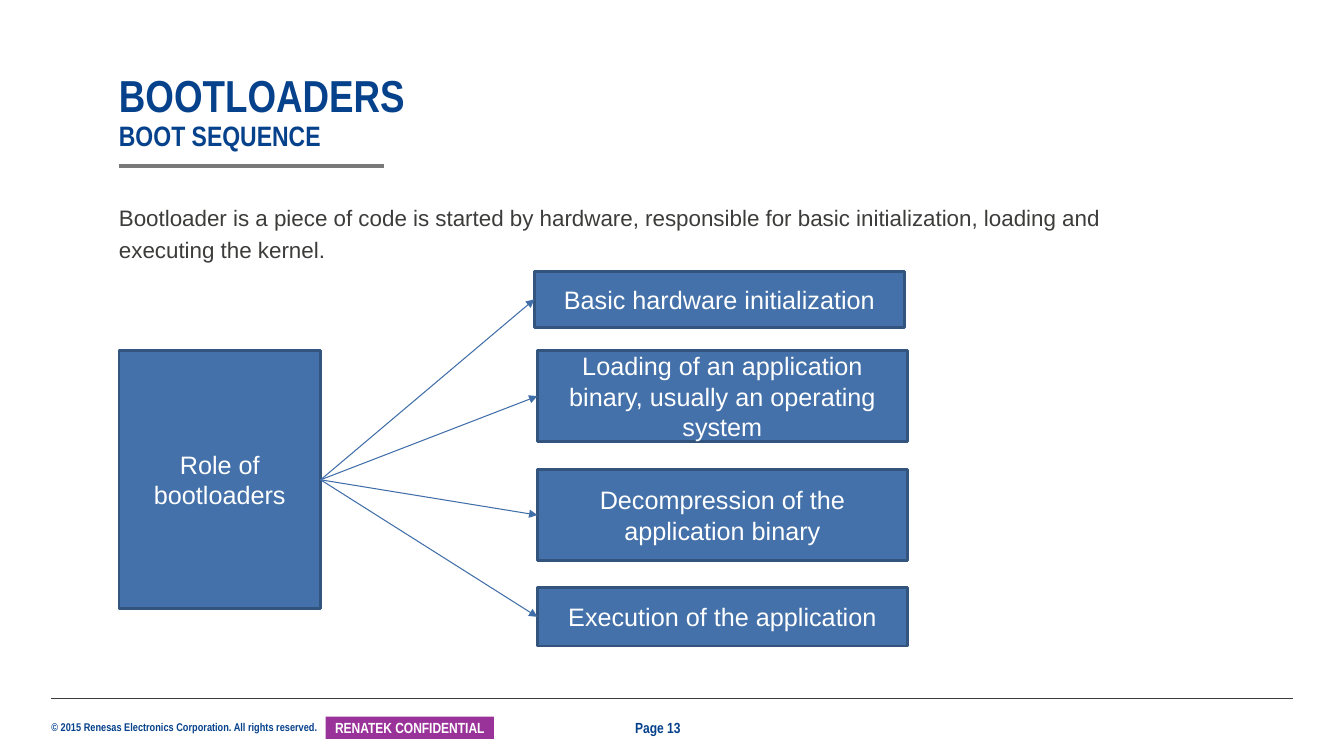
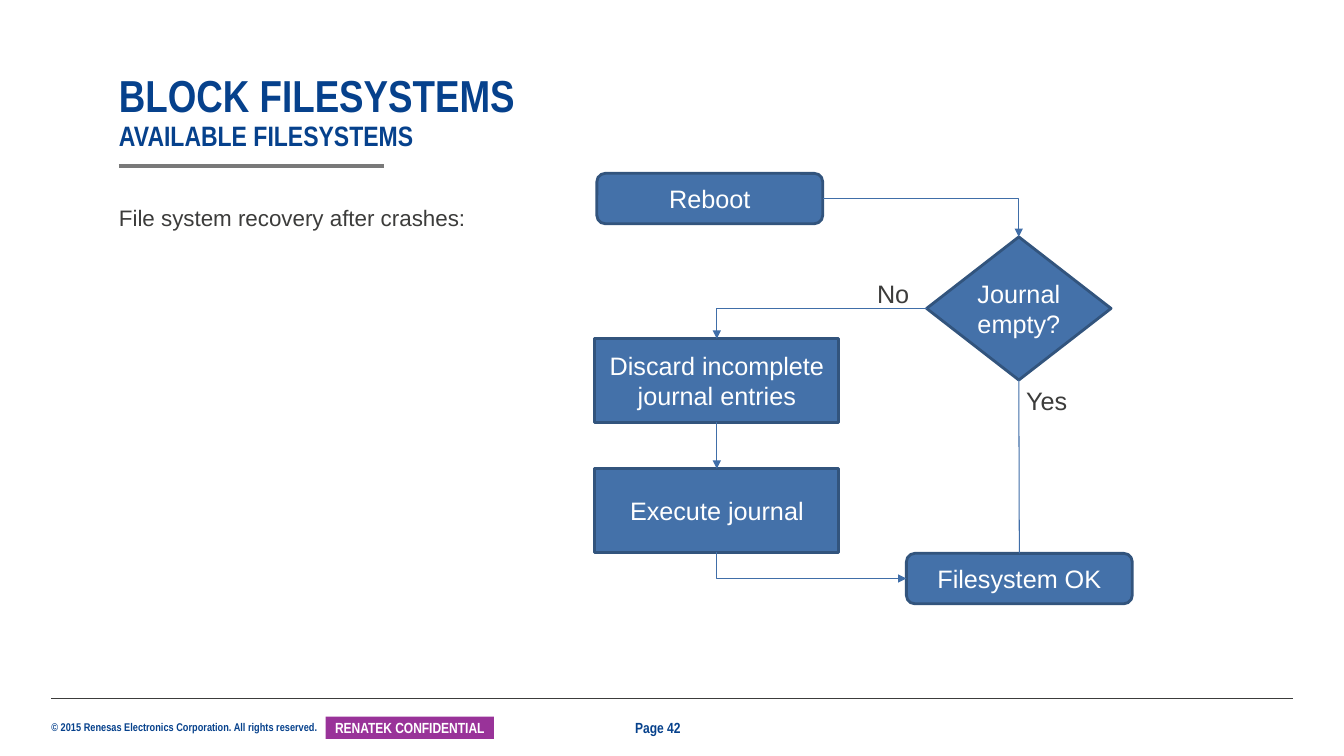
from lxml import etree
from pptx import Presentation
from pptx.dml.color import RGBColor
from pptx.enum.shapes import MSO_CONNECTOR as Link, MSO_SHAPE as Shape
from pptx.enum.text import MSO_ANCHOR as Anchor, PP_ALIGN as Align
from pptx.oxml.ns import qn
from pptx.util import Pt

PX = 9144  # EMU per px, 100 px to the inch

NAVY = RGBColor(0x06, 0x41, 0x8C)
INK = RGBColor(0x3C, 0x3C, 0x3B)
GRAY = RGBColor(0x79, 0x79, 0x79)
PURPLE = RGBColor(0x99, 0x33, 0x99)
BLUE = RGBColor(0x44, 0x71, 0xA9)
EDGE = RGBColor(0x32, 0x54, 0x7D)
ARROW = RGBColor(0x40, 0x6E, 0xA8)
WHITE = RGBColor(0xFF, 0xFF, 0xFF)

BODY_FONT = "Arial"
NARROW_FONT = "Arial Narrow"
MARGIN = 118
TEXT_WIDTH = 984
TOP, LEFT, BOTTOM, RIGHT = range(4)  # connection sites


def write(box, *lines, size=18, sizes=None, font=BODY_FONT, color=INK, bold=False,
          align=Align.LEFT, anchor=Anchor.TOP, insets=(10, 5, 10, 5), wrap=True,
          spacing=None, after=None):
    """Fill a shape with one paragraph; lines are parted by line breaks."""
    frame = box.text_frame
    frame.word_wrap = wrap
    frame.vertical_anchor = anchor
    (frame.margin_left, frame.margin_top,
     frame.margin_right, frame.margin_bottom) = (inset * PX for inset in insets)
    para = frame.paragraphs[0]
    para.alignment = align
    if spacing:
        para.line_spacing = spacing
    if after:
        para.space_after = Pt(after)
    for index, line in enumerate(lines):
        if index:
            para.add_line_break()
        span = para.add_run()
        span.text = line
        span.font.size = Pt(sizes[index] if sizes else size)
        span.font.name = font
        span.font.bold = bold
        span.font.color.rgb = color


class Deck:
    def __init__(self):
        self.file = Presentation()
        self.file.slide_width, self.file.slide_height = 1333 * PX, 750 * PX
        self.page = None

    def start_page(self, number, title, subtitle, body):
        self.page = self.file.slides.add_slide(self.file.slide_layouts[6])
        narrow = dict(font=NARROW_FONT, bold=True, insets=(0, 0, 0, 0))
        self.text(51, 715, 268, 13, "© 2015 Renesas Electronics Corporation. All rights reserved.",
                  size=8, color=NAVY, wrap=False, **narrow)
        self.rule(51, 1282, 693, INK, 0.5)
        self.shape(323, 711, 167, 22, "RENATEK CONFIDENTIAL", fill=PURPLE, edge=None,
                   size=10.5, **{**narrow, "insets": (4, 0, 4, 0)})
        self.rule(MARGIN, 381, 165, GRAY, 3)
        self.text(MARGIN, 72, TEXT_WIDTH, 79, title, subtitle, sizes=(32, 20),
                  color=NAVY, anchor=Anchor.BOTTOM, spacing=0.9, **narrow)
        self.text(630, 713, 73, 18, f"Page {number}", size=10.5, color=NAVY,
                  anchor=Anchor.MIDDLE, **narrow)
        self.text(MARGIN, 197, TEXT_WIDTH, 108, body, size=16, insets=(0, 0, 0, 0),
                  spacing=1.2, after=8)

    def text(self, x, y, width, height, *lines, **style):
        box = self.page.shapes.add_textbox(x * PX, y * PX, width * PX, height * PX)
        write(box, *lines, **style)

    def shape(self, x, y, width, height, label, kind=Shape.RECTANGLE, fill=BLUE,
              edge=EDGE, **style):
        box = self.page.shapes.add_shape(kind, x * PX, y * PX, width * PX, height * PX)
        box.shadow.inherit = False
        box.fill.solid()
        box.fill.fore_color.rgb = fill
        if edge is None:
            box.line.fill.background()
        else:
            box.line.color.rgb = edge
            box.line.width = Pt(2)
        write(box, label, color=WHITE, align=Align.CENTER, anchor=Anchor.MIDDLE, **style)
        return box

    def connector(self, kind, x1, y1, x2, y2, color, width):
        line = self.page.shapes.add_connector(kind, x1 * PX, y1 * PX, x2 * PX, y2 * PX)
        line.line.color.rgb = color
        line.line.width = Pt(width)
        etree.SubElement(line._element.spPr, qn("a:effectLst"))
        return line

    def rule(self, left, right, y, color, width):
        self.connector(Link.STRAIGHT, left, y, right, y, color, width)

    def link(self, start, start_site, end, end_site, bent=False, arrow="tailEnd"):
        """Join two shapes; a bent link leaves its start sideways and turns once."""
        kind = Link.ELBOW if bent else Link.STRAIGHT
        line = self.connector(kind, 0, 0, 0, 0, ARROW, 0.75)
        line.begin_connect(start, start_site)
        line.end_connect(end, end_site)
        properties = line._element.spPr
        if bent:
            properties.find(qn("a:prstGeom")).set("prst", "bentConnector2")
        if arrow:
            etree.SubElement(properties.find(qn("a:ln")), qn(f"a:{arrow}"), type="triangle")


def bootloader_page(deck):
    deck.start_page(13, "BOOTLOADERS", "BOOT SEQUENCE",
                    "Bootloader is a piece of code is started by hardware, responsible for "
                    "basic initialization, loading and executing the kernel.")
    role = deck.shape(MARGIN, 348, 200, 256, "Role of bootloaders")
    tasks = [
        (530, 269, 56, "Basic hardware initialization"),
        (533, 348, 90, "Loading of an application binary, usually an operating system"),
        (533, 466, 90, "Decompression of the application binary"),
        (533, 583, 58, "Execution of the application"),
    ]
    for x, y, height, label in tasks:
        task = deck.shape(x, y, 367, height, label)
        deck.link(role, RIGHT, task, LEFT)


def filesystem_page(deck):
    deck.start_page(42, "BLOCK FILESYSTEMS", "AVAILABLE FILESYSTEMS",
                    "File system recovery after crashes:")
    rounded, process = Shape.ROUNDED_RECTANGLE, Shape.FLOWCHART_PROCESS
    reboot = deck.shape(592, 172, 224, 50, "Reboot", rounded)
    decision = deck.shape(919, 235, 183, 142, "Journal empty?",
                          Shape.FLOWCHART_DECISION, insets=(0, 0, 0, 0))
    discard = deck.shape(590, 336, 242, 83, "Discard incomplete journal entries", process)
    execute = deck.shape(590, 465, 242, 83, "Execute journal", process)
    finish = deck.shape(899, 549, 224, 50, "Filesystem OK", rounded)

    deck.link(reboot, RIGHT, decision, TOP, bent=True)
    deck.link(decision, LEFT, discard, TOP, bent=True)
    deck.link(discard, BOTTOM, execute, TOP)
    deck.link(finish, LEFT, execute, BOTTOM, bent=True, arrow="headEnd")
    deck.link(decision, BOTTOM, finish, TOP, arrow=None)

    deck.text(860, 271, 52, 40, "No", wrap=False)
    deck.text(1008, 377, 61, 40, "Yes", wrap=False)


def main():
    deck = Deck()
    bootloader_page(deck)
    filesystem_page(deck)
    deck.file.save("out.pptx")


if __name__ == "__main__":
    main()
